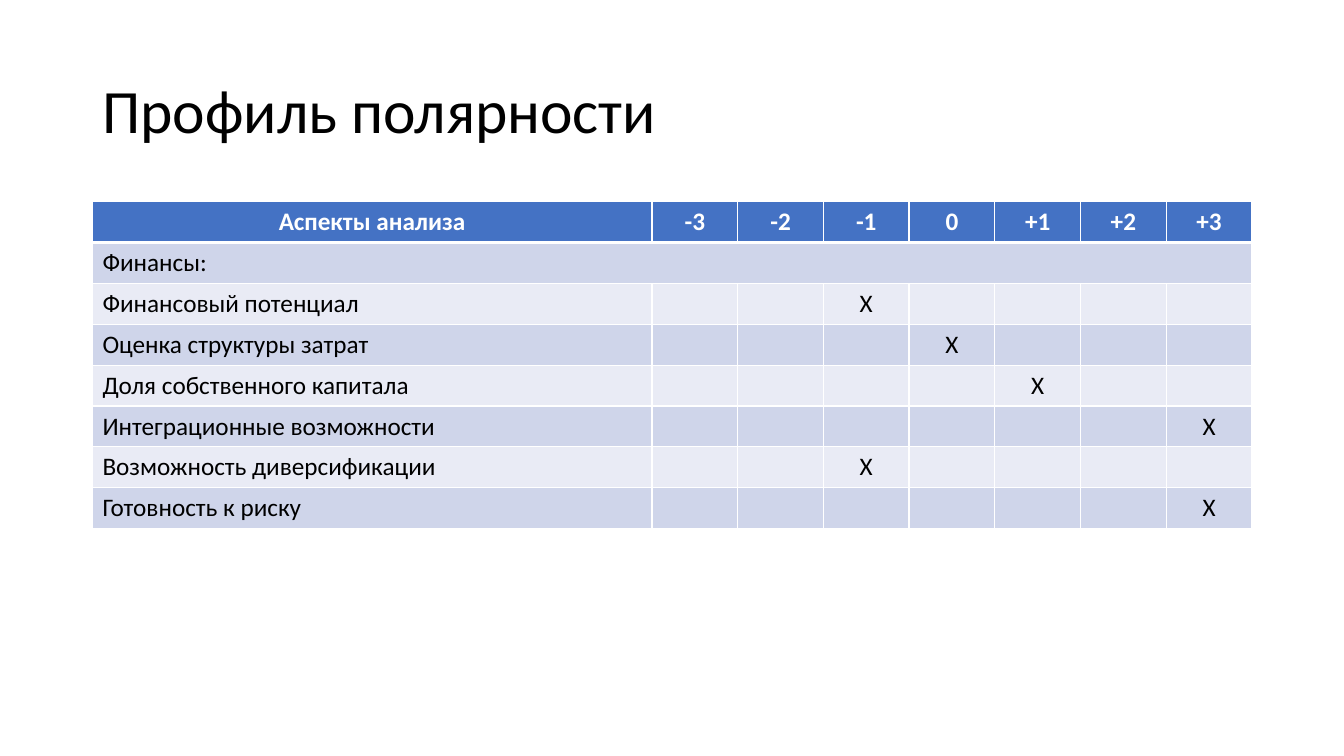
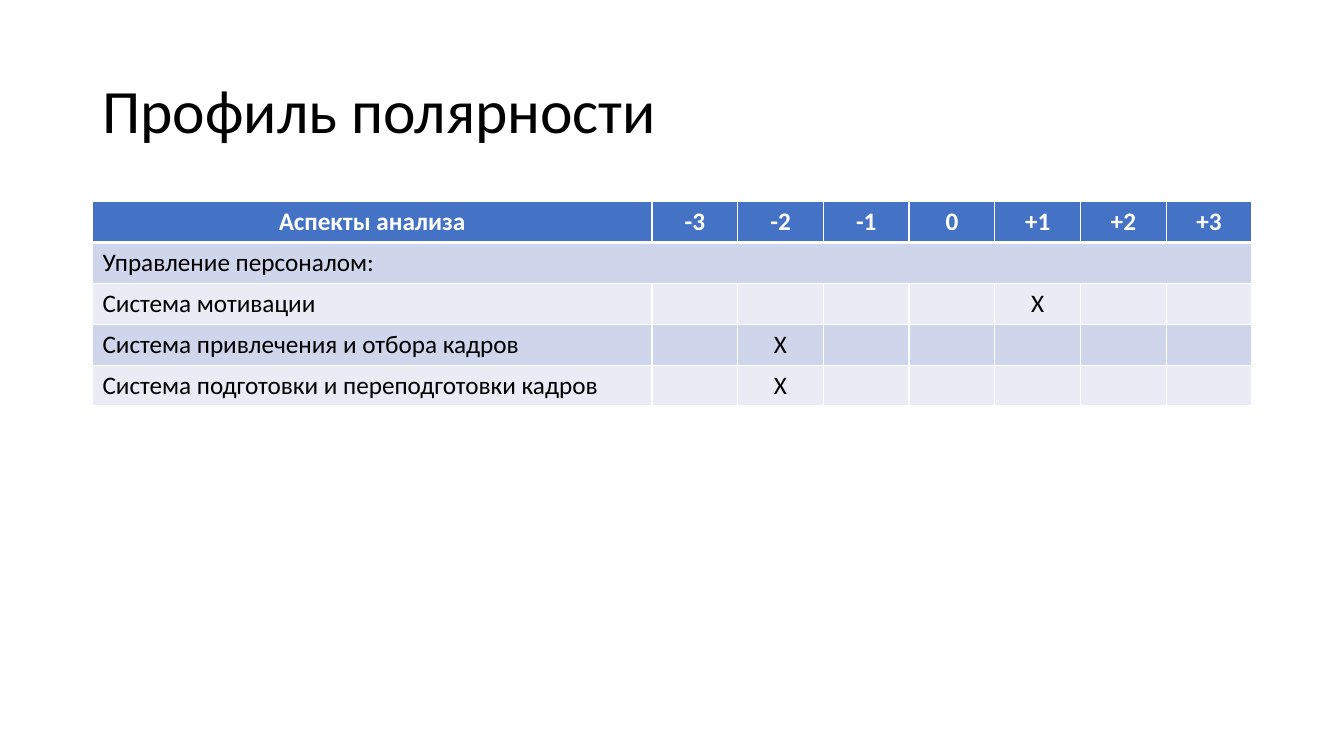
import pptx
import pptx.util
import pptx.dml.color
import pptx.enum.text
import lxml.etree
from pptx.util import Cm, Pt
from pptx.dml.color import RGBColor
from pptx.enum.text import MSO_ANCHOR, PP_ALIGN

# Shared style
BLACK = RGBColor(0x00, 0x00, 0x00)
WHITE = RGBColor(0xFF, 0xFF, 0xFF)
HEADER_BLUE = RGBColor(0x44, 0x72, 0xC4)
BANDS = [RGBColor(0xE9, 0xEB, 0xF5), RGBColor(0xCF, 0xD5, 0xEA)]
FONT = "Calibri"
TITLE = "Профиль полярности"
LEFT, WIDTH = Cm(2.33), Cm(29.21)
LABEL_WIDTH, SCORE_WIDTH, ROW_HEIGHT = Cm(14.1), Cm(2.16), Cm(1.03)
SCORES = ["-3", "-2", "-1", "0", "+1", "+2", "+3"]

# Each profile: group name, then aspects with their scores
PROFILES = [
    ("Финансы:", [
        ("Финансовый потенциал", "-1"),
        ("Оценка структуры затрат", "0"),
        ("Доля собственного капитала", "+1"),
        ("Интеграционные возможности", "+3"),
        ("Возможность диверсификации", "-1"),
        ("Готовность к риску", "+3"),
    ]),
    ("Управление персоналом:", [
        ("Система мотивации", "+1"),
        ("Система привлечения и отбора кадров", "-2"),
        ("Система подготовки и переподготовки кадров", "-2"),
    ]),
]


def write(frame, text, size=18, color=BLACK, bold=False, align=PP_ALIGN.LEFT, spacing=None):
    para = frame.paragraphs[0]
    para.alignment = align
    para.line_spacing = spacing
    para.font.size = Pt(size)
    if text:
        span = para.add_run()
        span.text = text
        span.font.name = FONT
        span.font.size = Pt(size)
        span.font.bold = bold
        span.font.color.rgb = color


def set_borders(cell, **widths):
    properties = cell._tc.get_or_add_tcPr()
    for side in ("L", "R", "T", "B"):
        line = lxml.etree.SubElement(properties, pptx.oxml.ns.qn(f"a:ln{side}"),
                                     w=str(Pt(widths.get(side, 1))))
        fill = lxml.etree.SubElement(line, pptx.oxml.ns.qn("a:solidFill"))
        lxml.etree.SubElement(fill, pptx.oxml.ns.qn("a:srgbClr"), val=str(WHITE))


deck = pptx.Presentation()
deck.slide_width, deck.slide_height = Cm(33.87), Cm(19.05)

for group, aspects in PROFILES:
    page = deck.slides.add_slide(deck.slide_layouts[6])

    # Title
    box = page.shapes.add_textbox(LEFT, Cm(1.01), WIDTH, Cm(3.68))
    box.text_frame.word_wrap = True
    box.text_frame.vertical_anchor = MSO_ANCHOR.MIDDLE
    write(box.text_frame, TITLE, size=44, spacing=0.9)

    # Table grid
    rows = [["Аспекты анализа"] + SCORES, [group] + [""] * len(SCORES)]
    for aspect, mark in aspects:
        rows.append([aspect] + ["X" if score == mark else "" for score in SCORES])
    table = page.shapes.add_table(len(rows), len(rows[0]), LEFT, Cm(5.08),
                                  WIDTH, ROW_HEIGHT * len(rows)).table
    for index, column in enumerate(table.columns):
        column.width = SCORE_WIDTH if index else LABEL_WIDTH
    for row in table.rows:
        row.height = ROW_HEIGHT

    # Cells
    for row_index, texts in enumerate(rows):
        header = row_index == 0
        for column_index, text in enumerate(texts):
            cell = table.cell(row_index, column_index)
            set_borders(cell, T=3 if row_index == 1 else 1, B=3 if header else 1)
            cell.fill.solid()
            cell.fill.fore_color.rgb = HEADER_BLUE if header else BANDS[row_index % 2]
            centred = header or column_index > 0
            cell.vertical_anchor = MSO_ANCHOR.MIDDLE if centred else MSO_ANCHOR.TOP
            write(cell.text_frame, text, color=WHITE if header else BLACK, bold=header,
                  align=PP_ALIGN.CENTER if centred else PP_ALIGN.LEFT)
    table.cell(1, 0).merge(table.cell(1, len(SCORES)))

deck.save("out.pptx")
